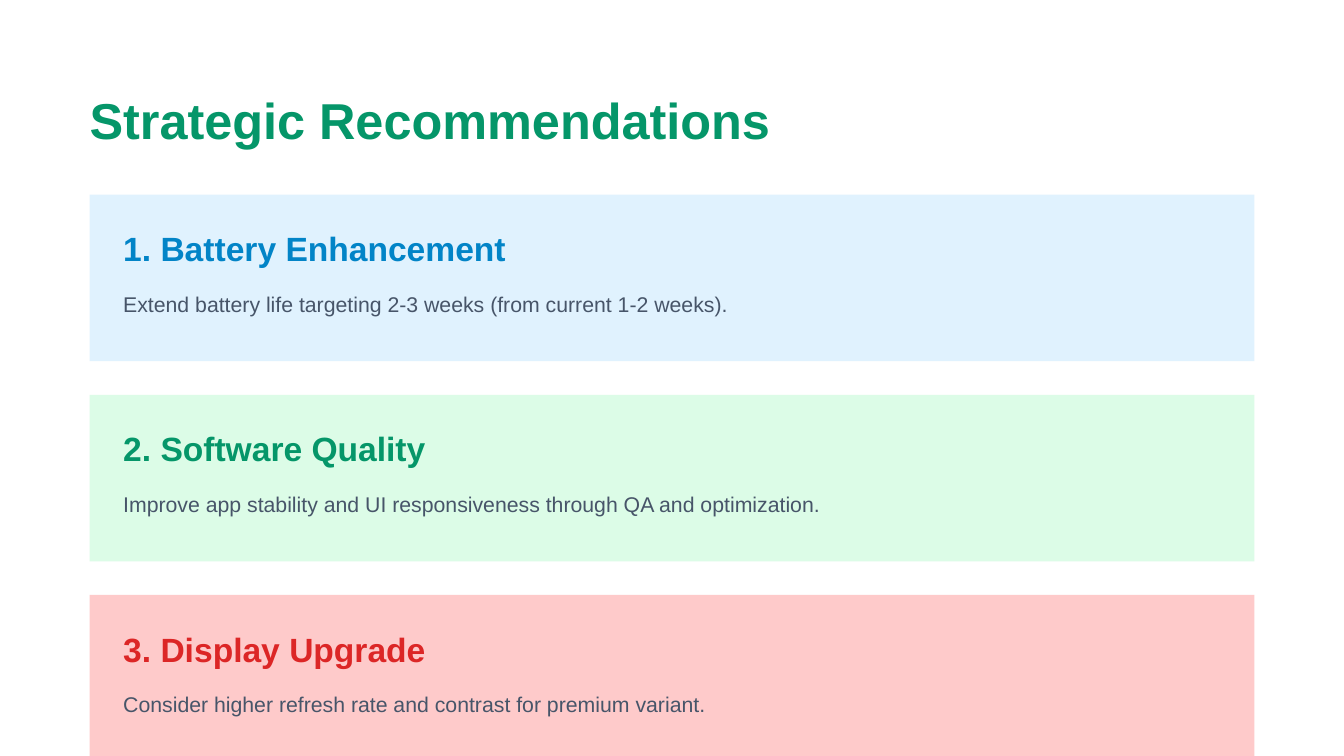
from pptx import Presentation
from pptx.dml.color import RGBColor
from pptx.enum.shapes import MSO_SHAPE
from pptx.enum.text import MSO_ANCHOR, MSO_AUTO_SIZE, PP_ALIGN
from pptx.util import Pt

RECTANGLE = MSO_SHAPE.RECTANGLE
TOP = MSO_ANCHOR.TOP
LEFT = PP_ALIGN.LEFT
NO_AUTOFIT = MSO_AUTO_SIZE.NONE
PX = 9525
FONT = "Arial"
TITLE_ONLY = 5
COLORS = {
    "background": "FFFFFF",
    "body": "475569",
    "blue": "0284C7",
    "blue_tint": "E0F2FE",
    "green": "059669",
    "green_tint": "DCFCE7",
    "red": "DC2626",
    "red_tint": "FECACA",
}
RECOMMENDATIONS = [
    ("1. Battery Enhancement",
     "Extend battery life targeting 2-3 weeks (from current 1-2 weeks).", "blue"),
    ("2. Software Quality",
     "Improve app stability and UI responsiveness through QA and optimization.", "green"),
    ("3. Display Upgrade",
     "Consider higher refresh rate and contrast for premium variant.", "red"),
]


def color(name):
    """Return the named palette colour."""
    return RGBColor.from_string(COLORS[name])


def emu(box):
    """Turn a box in px into EMU lengths."""
    return [length * PX for length in box]


def write_line(shape, text, size, leading, color_name, bold=False):
    """Write one line of text flush with the edges of a shape."""
    frame = shape.text_frame
    frame.text = text
    frame.word_wrap = True
    frame.auto_size = NO_AUTOFIT
    frame.vertical_anchor = TOP
    frame.margin_left = frame.margin_top = frame.margin_right = frame.margin_bottom = 0
    para = frame.paragraphs[0]
    para.alignment = LEFT
    para.line_spacing = Pt(leading)
    font = para.runs[0].font
    font.name = FONT
    font.size = Pt(size)
    font.bold = bold
    font.color.rgb = color(color_name)


def add_title(page, box, text):
    """Place and format the title placeholder."""
    title = page.shapes.title
    title.left, title.top, title.width, title.height = emu(box)
    write_line(title, text, 27, 32.4, "green", bold=True)


def add_card(page, box, heading, detail, accent):
    """Add a tinted card with a heading and a detail line."""
    left, top, width, height = box
    card = page.shapes.add_shape(RECTANGLE, *emu(box))
    card.shadow.inherit = False
    card.fill.solid()
    card.fill.fore_color.rgb = color(accent + "_tint")
    card.line.fill.background()

    padding = 24
    text_width = width - 32
    heading_box = page.shapes.add_textbox(
        *emu((left + padding, top + padding, text_width, 29)))
    write_line(heading_box, heading, 18, 21.6, accent, bold=True)
    detail_box = page.shapes.add_textbox(
        *emu((left + padding, top + 66, text_width, 21)))
    write_line(detail_box, detail, 11.4, 16, "body")


def add_cards(page, box, gap):
    """Stack the recommendation cards from the given first box."""
    left, top, width, height = box
    for index, recommendation in enumerate(RECOMMENDATIONS):
        card_top = top + index * (height + gap)
        add_card(page, (left, card_top, width, height), *recommendation)


def main():
    """Build and save the deck."""
    deck = Presentation()
    deck.slide_width, deck.slide_height = emu((960, 540))
    page = deck.slides.add_slide(deck.slide_layouts[TITLE_ONLY])
    page.background.fill.solid()
    page.background.fill.fore_color.rgb = color("background")
    add_title(page, (64, 64, 849, 43), "Strategic Recommendations")
    add_cards(page, (64, 139, 832, 119), gap=24)
    deck.save("out.pptx")


if __name__ == "__main__":
    main()
